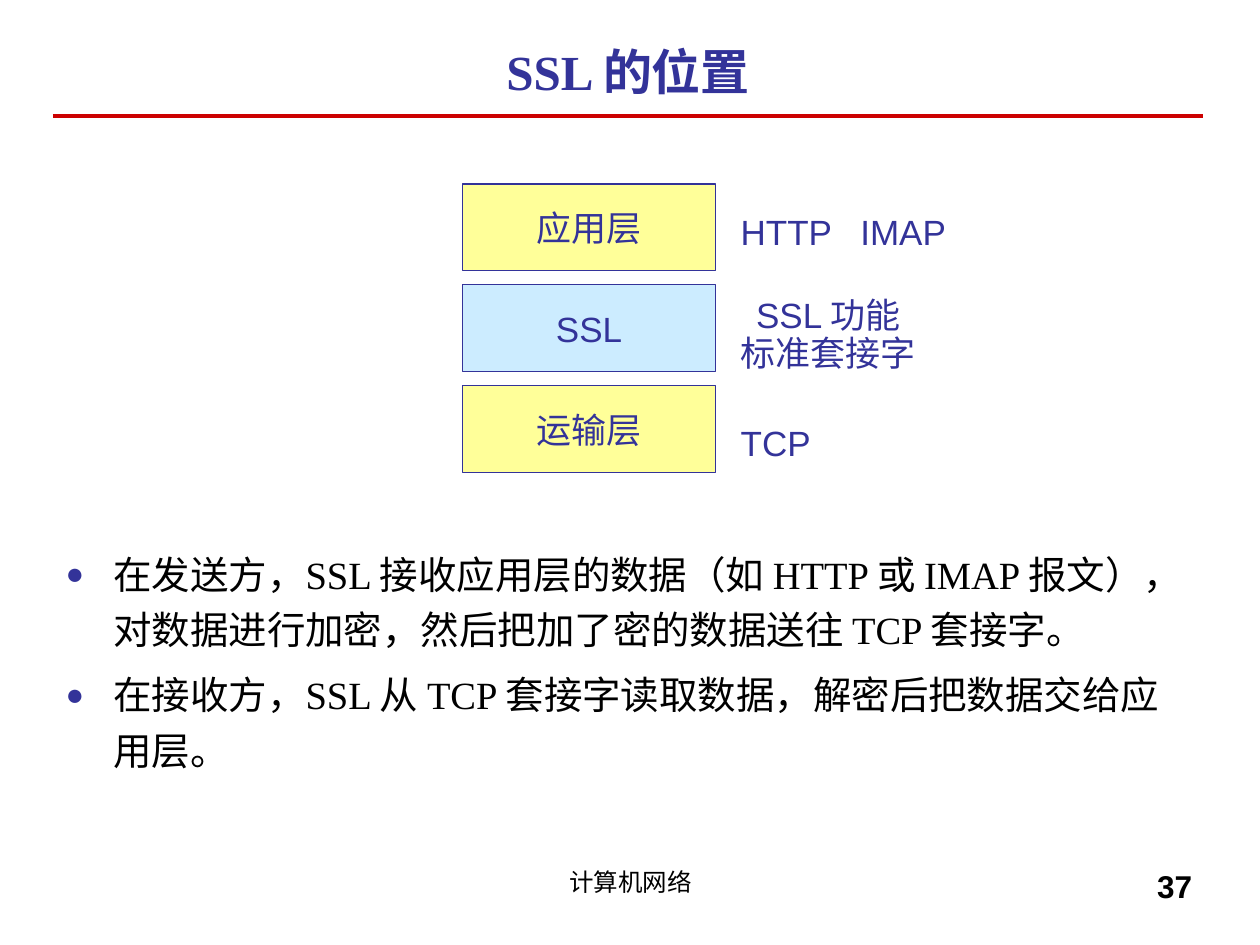
from lxml.etree import SubElement
from pptx import Presentation
from pptx.dml.color import RGBColor
from pptx.enum.shapes import MSO_CONNECTOR, MSO_SHAPE
from pptx.enum.text import MSO_ANCHOR, MSO_AUTO_SIZE, PP_ALIGN
from pptx.oxml.ns import qn
from pptx.util import Inches, Pt

COLORS = {
    "navy": "333399",
    "red": "CC0000",
    "black": "000000",
    "yellow": "FFFF99",
    "blue": "CCECFF",
}


def color(name):
    return RGBColor.from_string(COLORS[name])


def write(sp, text, size, font="Arial", ink="navy", align=PP_ALIGN.LEFT,
          bold=False, anchor=MSO_ANCHOR.TOP, wrap=True):
    """Fill a shape with text, one paragraph per line, and format it."""
    tf = sp.text_frame
    tf.text = text
    tf.auto_size = MSO_AUTO_SIZE.NONE
    tf.word_wrap = wrap
    tf.vertical_anchor = anchor
    for p in tf.paragraphs:
        p.alignment = align
        for r in p.runs:
            r.font.size = Pt(size)
            r.font.name = font
            r.font.bold = bold
            r.font.color.rgb = color(ink)
    return tf


prs = Presentation()
prs.slide_width, prs.slide_height = Inches(10), Inches(7.5)
s = prs.slides.add_slide(prs.slide_layouts[1])
shapes = s.shapes
left, width = Inches(0.42), Inches(9.13)

# Title and rule
title = shapes.title
title.left, title.top, title.width, title.height = left, Inches(0.25), width, Inches(0.67)
tf = write(title, "SSL 的位置", 28, "Times New Roman", align=PP_ALIGN.CENTER,
           bold=True, anchor=MSO_ANCHOR.MIDDLE)
tf.margin_top = 0

rule = shapes.add_connector(MSO_CONNECTOR.STRAIGHT, left, Inches(0.92),
                            left + width, Inches(0.92))
rule.line.color.rgb = color("red")
rule.line.width = Pt(2)
SubElement(rule._element.spPr, qn("a:effectLst"))

# Bullets
body = s.placeholders[1]
body.left, body.top, body.width, body.height = left, Inches(4.25), width, Inches(2.58)
tf = write(body, "在发送方，SSL 接收应用层的数据（如 HTTP 或 IMAP 报文），对数据进行加密，"
           "然后把加了密的数据送往 TCP 套接字。\n"
           "在接收方，SSL 从 TCP 套接字读取数据，解密后把数据交给应用层。",
           22, "Times New Roman", "black")
for i, p in enumerate(tf.paragraphs):
    p.line_spacing = 1.2
    p.space_before = Pt(5.5 if i else 0)
    pPr = p._p.get_or_add_pPr()
    pPr.set("marL", str(Inches(0.38)))
    pPr.set("indent", str(-Inches(0.38)))
    SubElement(SubElement(pPr, qn("a:buClr")), qn("a:srgbClr"), val=COLORS["navy"])
    SubElement(pPr, qn("a:buSzPct"), val="80000")
    SubElement(pPr, qn("a:buChar"), char="●")

# Protocol layers
for i, (name, fill) in enumerate([("应用层", "yellow"), ("SSL", "blue"), ("运输层", "yellow")]):
    layer = shapes.add_shape(MSO_SHAPE.RECTANGLE, Inches(3.67), Inches(1.46 + 0.8 * i),
                             Inches(2.01), Inches(0.69))
    layer.shadow.inherit = False
    layer.fill.solid()
    layer.fill.fore_color.rgb = color(fill)
    layer.line.color.rgb = color("navy")
    layer.line.width = Pt(0.75)
    write(layer, name, 20, align=PP_ALIGN.CENTER, anchor=MSO_ANCHOR.MIDDLE, wrap=False)

# Labels beside the layers
for text, top, w, h, align in [
    ("HTTP\tIMAP", 1.62, 1.84, 0.44, PP_ALIGN.LEFT),
    ("SSL 功能\n标准套接字", 2.32, 1.59, 0.7, PP_ALIGN.CENTER),
    ("TCP", 3.3, 0.75, 0.44, PP_ALIGN.LEFT),
]:
    label = shapes.add_textbox(Inches(5.78), Inches(top), Inches(w), Inches(h))
    tf = write(label, text, 20, align=align, wrap=False)
    for p in tf.paragraphs:
        if len(tf.paragraphs) > 1:
            p.line_spacing = 0.9
        if "\t" in text:
            tabs = SubElement(p._p.get_or_add_pPr(), qn("a:tabLst"))
            SubElement(tabs, qn("a:tab"), pos=str(Inches(0.95)), algn="l")

# Footer
footer = shapes.add_textbox(Inches(3.42), Inches(6.83), Inches(3.17), Inches(0.52))
write(footer, "计算机网络", 14, ink="black", align=PP_ALIGN.CENTER)
number = shapes.add_textbox(Inches(7.23), Inches(6.83), Inches(2.33), Inches(0.52))
write(number, "37", 18, ink="black", align=PP_ALIGN.RIGHT, bold=True)

prs.save("out.pptx")
